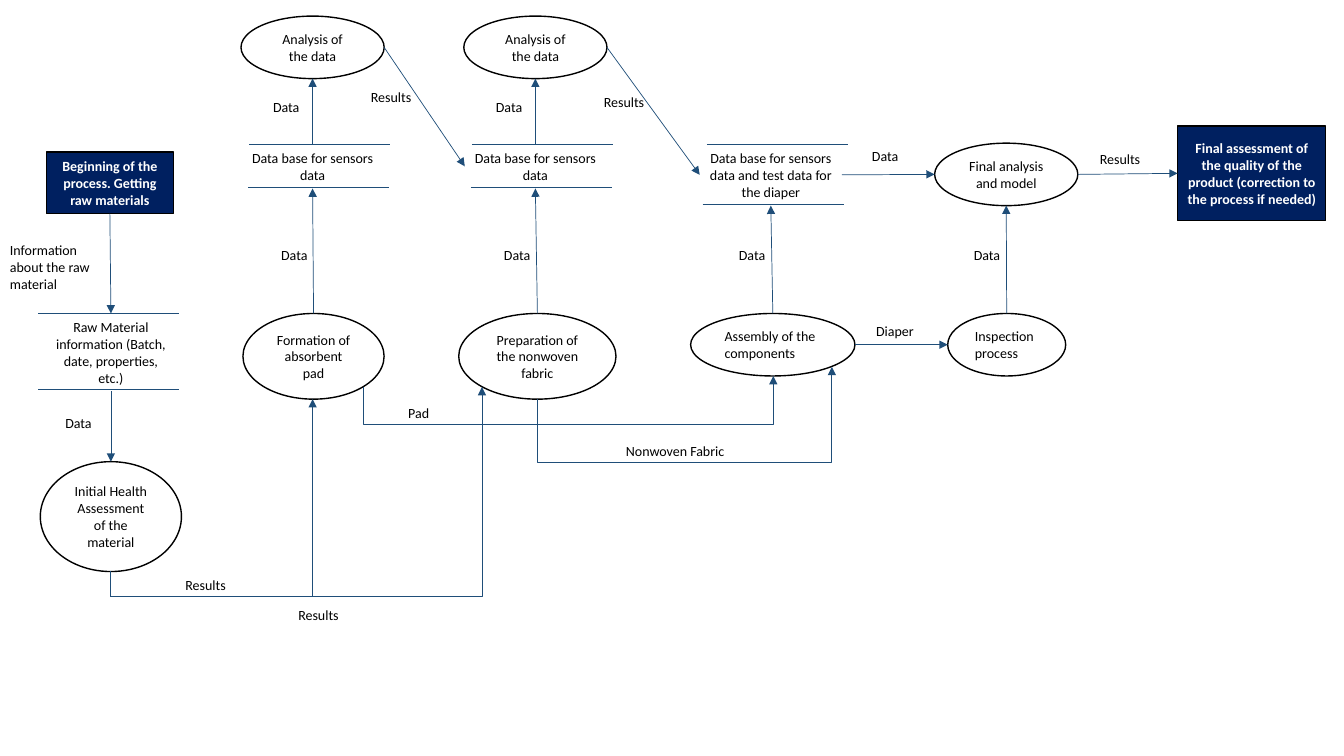
"""Build the diaper production data flow diagram slide."""
import lxml.etree
import pptx
import pptx.dml.color
import pptx.enum.shapes
import pptx.enum.text
import pptx.oxml.ns
import pptx.util

Inches = pptx.util.Inches
NAVY, BLUE, BLACK, WHITE = "002060", "1F4E79", "000000", "FFFFFF"
TOP, LEFT, BOTTOM, RIGHT = range(4)
STORE_WIDTH = 1.4
STAGE_STEP = 2.21

# name: kind, left, top, width, height, text
NODES = {
    "begin": ("terminal", 0.46, 1.51, 1.26, 0.61, "Beginning of the process. Getting raw materials"),
    "raw": ("store", 0.4, 3.11, 1.4, 0.77, "Raw Material information (Batch, date, properties, etc.)"),
    "health": ("process", 0.4, 4.58, 1.4, 1.09, "Initial Health Assessment of the material"),
    "pad": ("process", 2.41, 3.11, 1.4, 0.85, "Formation of absorbent pad"),
    "fabric": ("process", 4.55, 3.11, 1.56, 0.85, "Preparation of the nonwoven fabric"),
    "assembly": ("step", 6.85, 3.11, 1.63, 0.62, "Assembly of the components"),
    "inspection": ("step", 9.4, 3.11, 1.17, 0.62, "Inspection process"),
    "diaper store": ("store", 6.94, 1.43, 1.41, 0.61,
                     "Data base for sensors data and test data for the diaper"),
    "model": ("process", 9.27, 1.42, 1.42, 0.62, "Final analysis and model"),
    "final": ("terminal", 11.68, 1.25, 1.47, 0.94,
              "Final assessment of the quality of the product (correction to the process if needed)"),
}
FLOWS = [
    ("begin", BOTTOM, "raw", TOP),
    ("raw", BOTTOM, "health", TOP),
    ("assembly", TOP, "diaper store", BOTTOM),
    ("diaper store", RIGHT, "model", LEFT),
    ("assembly", RIGHT, "inspection", LEFT),
    ("inspection", TOP, "model", BOTTOM),
    ("model", RIGHT, "final", LEFT),
    ("pad analysis", RIGHT, "fabric store", LEFT),
    ("fabric analysis", RIGHT, "diaper store", LEFT),
]
# start, end, depth of the horizontal run
DETOURS = [
    ((1.09, 5.67), (3.1, 3.96), 5.92),
    ((1.09, 5.67), (4.78, 3.84), 5.92),
    ((3.6, 3.84), (7.67, 3.73), 4.21),
    ((5.33, 3.96), (8.25, 3.64), 4.59),
]
RAILS = [(0.38, 3.11), (0.38, 3.86), (7.01, 1.43), (6.97, 2.03)]
# left, top, width, text
LABELS = [
    (0, 2.35, 1.21, "Information about the raw material"),
    (0.55, 4.06, 0.76, "Data"),
    (1.74, 5.67, 0.71, "Results"),
    (2.86, 5.97, 0.71, "Results"),
    (3.95, 3.96, 0.55, "Pad"),
    (6.11, 4.34, 1.4, "Nonwoven Fabric"),
    (7.23, 2.4, 0.55, "Data"),
    (8.55, 1.41, 0.55, "Data"),
    (8.59, 3.15, 0.65, "Diaper"),
    (3.58, 0.83, 0.71, "Results"),
    (5.89, 0.88, 0.71, "Results"),
    (9.56, 2.4, 0.55, "Data"),
    (10.81, 1.44, 0.71, "Results"),
]
for number, stage in enumerate(("pad", "fabric")):
    shift = number * STAGE_STEP
    store, analysis = f"{stage} store", f"{stage} analysis"
    NODES[store] = ("store", 2.4 + shift, 1.43, 1.4, 0.44, "Data base for sensors data")
    NODES[analysis] = ("process", 2.39 + shift, 0.16, 1.42, 0.62, "Analysis of the data")
    FLOWS += [(stage, TOP, store, BOTTOM), (store, TOP, analysis, BOTTOM)]
    RAILS += [(2.47 + shift, 1.43), (2.46 + shift, 1.86)]
    LABELS += [(2.69 + shift, 2.4, 0.55, "Data"), (2.61 + shift, 0.93, 0.55, "Data")]


def colour(value):
    return pptx.dml.color.RGBColor.from_string(value)


def write(shape, text, ink, bold=False, centred=False):
    frame = shape.text_frame
    frame.word_wrap = True
    frame.auto_size = pptx.enum.text.MSO_AUTO_SIZE.SHAPE_TO_FIT_TEXT
    para = frame.paragraphs[0]
    align = pptx.enum.text.PP_ALIGN
    para.alignment = align.CENTER if centred else align.LEFT
    span = para.add_run()
    span.text = text
    span.font.name = "Calibri"
    span.font.size = pptx.util.Pt(10)
    span.font.bold = bold
    span.font.color.rgb = colour(ink)


def add_node(page, kind, left, top, width, height, text):
    presets = pptx.enum.shapes.MSO_SHAPE
    preset = presets.OVAL if kind in ("process", "step") else presets.RECTANGLE
    shape = page.shapes.add_shape(preset, *map(Inches, (left, top, width, height)))
    shape.shadow.inherit = False
    shape.fill.solid()
    shape.fill.fore_color.rgb = colour(NAVY if kind == "terminal" else WHITE)
    if kind == "store":
        shape.line.fill.background()
    else:
        shape.line.color.rgb = colour(BLACK)
        shape.line.width = pptx.util.Pt(1)
    shape.text_frame.vertical_anchor = pptx.enum.text.MSO_ANCHOR.MIDDLE
    terminal = kind == "terminal"
    write(shape, text, WHITE if terminal else BLACK, terminal, kind != "step")
    return shape


def add_line(page, start, end, arrow=True, elbow=False):
    kinds = pptx.enum.shapes.MSO_CONNECTOR
    kind = kinds.ELBOW if elbow else kinds.STRAIGHT
    line = page.shapes.add_connector(kind, *map(Inches, (*start, *end)))
    line.line.color.rgb = colour(BLUE)
    line.line.width = pptx.util.Pt(0.5)
    properties = line._element.spPr
    if arrow:
        outline = properties.find(pptx.oxml.ns.qn("a:ln"))
        lxml.etree.SubElement(outline, pptx.oxml.ns.qn("a:tailEnd"), type="triangle")
    lxml.etree.SubElement(properties, pptx.oxml.ns.qn("a:effectLst"))
    return line


def add_detour(page, start, end, depth):
    """Run down from start, across at depth, then up to end."""
    rise, reach = start[1] - end[1], end[0] - start[0]
    middle_x, middle_y = (start[0] + end[0]) / 2, (start[1] + end[1]) / 2
    corner = (middle_x - rise / 2, middle_y - reach / 2)
    line = add_line(page, corner, (corner[0] + rise, corner[1] + reach), elbow=True)
    properties = line._element.spPr
    frame = properties.find(pptx.oxml.ns.qn("a:xfrm"))
    for name, value in (("rot", "5400000"), ("flipH", "1"), ("flipV", "1")):
        frame.set(name, value)
    guides = properties.find(".//" + pptx.oxml.ns.qn("a:avLst"))
    bend = round((start[1] - depth) / rise * 100000)
    lxml.etree.SubElement(guides, pptx.oxml.ns.qn("a:gd"), name="adj1", fmla=f"val {bend}")


def side_middle(name, side):
    left, top, width, height = NODES[name][1:5]
    across, down = {TOP: (0.5, 0), LEFT: (0, 0.5), BOTTOM: (0.5, 1), RIGHT: (1, 0.5)}[side]
    return left + across * width, top + down * height


def main():
    deck = pptx.Presentation()
    deck.slide_width, deck.slide_height = Inches(13.33), Inches(7.5)
    page = deck.slides.add_slide(deck.slide_layouts[6])
    shapes = {name: add_node(page, *node) for name, node in NODES.items()}
    for left, top in RAILS:
        add_line(page, (left, top), (left + STORE_WIDTH, top), arrow=False)
    for source, out_side, target, in_side in FLOWS:
        line = add_line(page, side_middle(source, out_side), side_middle(target, in_side))
        if NODES[source][0] in ("terminal", "store"):
            line.begin_connect(shapes[source], out_side)
        if NODES[target][0] in ("terminal", "store"):
            line.end_connect(shapes[target], in_side)
    for detour in DETOURS:
        add_detour(page, *detour)
    for left, top, width, text in LABELS:
        height = 0.61 if len(text) > 20 else 0.27
        box = page.shapes.add_textbox(*map(Inches, (left, top, width, height)))
        write(box, text, BLACK)
    deck.save("out.pptx")


if __name__ == "__main__":
    main()
